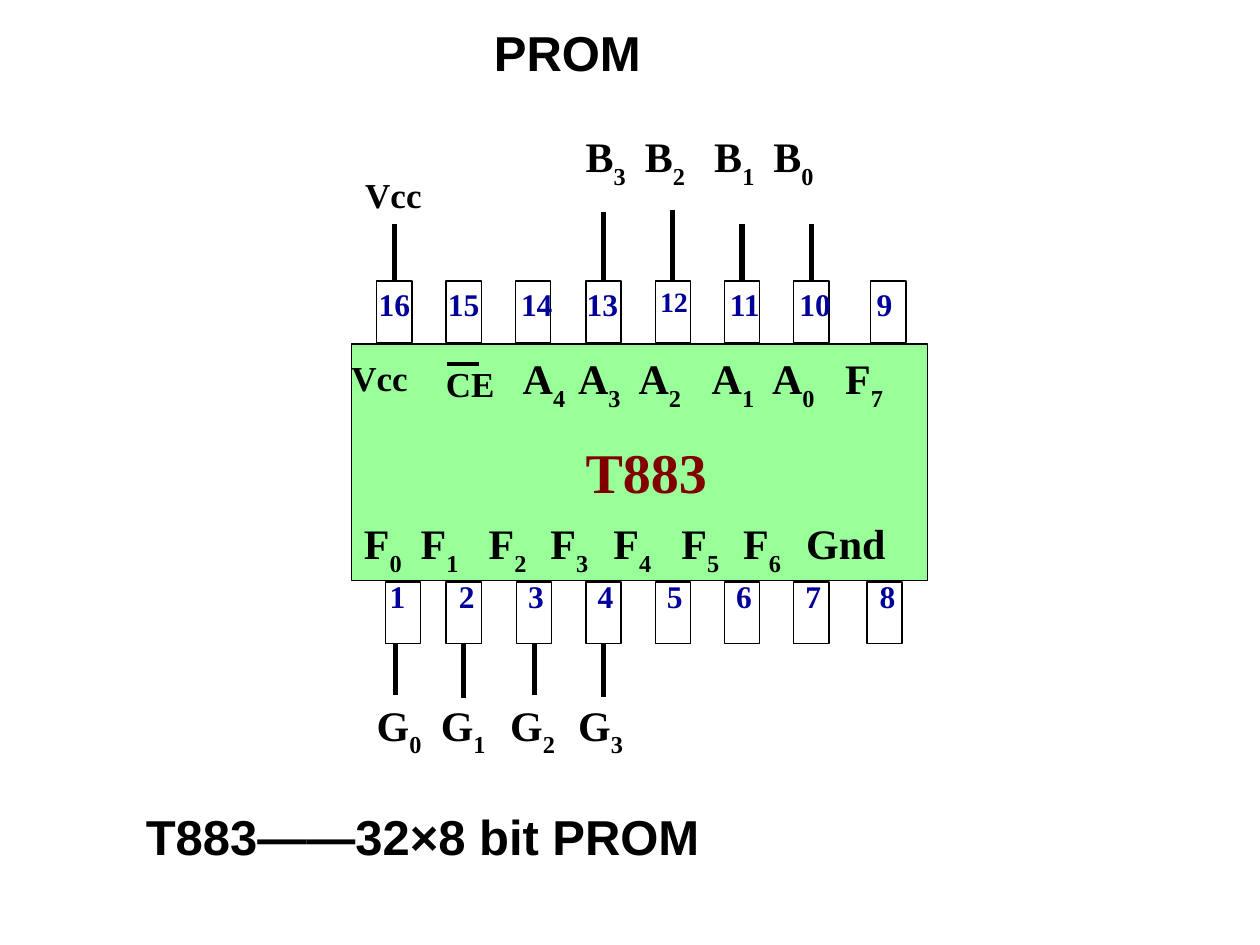
from lxml import etree
from pptx import Presentation
from pptx.dml.color import RGBColor
from pptx.enum.shapes import MSO_CONNECTOR, MSO_SHAPE
from pptx.enum.text import MSO_ANCHOR, PP_ALIGN
from pptx.oxml.ns import qn
from pptx.util import Inches, Pt

RECT = MSO_SHAPE.RECTANGLE
STRAIGHT = MSO_CONNECTOR.STRAIGHT
TOP = MSO_ANCHOR.TOP
LEFT, CENTER, JUSTIFY = PP_ALIGN.LEFT, PP_ALIGN.CENTER, PP_ALIGN.JUSTIFY
SIDE_TOP, SIDE_BOTTOM = 0, 2

COLORS = {
    "black": "000000",
    "pin": "FFFFFF",
    "chip": "99FF99",
    "number": "000099",
    "part": "800000",
}
SERIF, SANS = "Times New Roman", "Arial"
PIN_W, PIN_H = 0.28, 0.49
TOP_PIN_Y, BOTTOM_PIN_Y = 2.23, 4.62

# number, pin left, label left, label width
TOP_PINS = [
    (16, 2.99, 2.64, 0.98),
    (15, 3.54, 3.14, 1.08),
    (14, 4.09, 3.77, 0.98),
    (13, 4.65, 4.29, 0.98),
    (12, 5.2, 5.14, 0.54),
    (11, 5.75, 5.42, 0.98),
    (10, 6.3, 5.98, 0.98),
    (9, 6.91, 6.86, 0.73),
]
BOTTOM_PINS = [
    (number, x, round(2.79 + 0.55 * i, 2), 0.73)
    for i, (number, x) in enumerate(
        [(1, 3.06), (2, 3.54), (3, 4.1), (4, 4.65),
         (5, 5.2), (6, 5.75), (7, 6.3)])
] + [(8, 6.88, 6.68, 0.73)]
LEADS = {16: 1.78, 13: 1.68, 12: 1.67, 11: 1.78, 10: 1.78,
         2: 5.54, 3: 5.52, 4: 5.53}

# left, top, width, names, tab stops
SIGNAL_ROWS = [
    (4.05, 2.75, 4.08, "A4 A3 A2 A1 A0 F7", [0.44, 0.92, 1.5, 1.98, 2.56]),
    (2.79, 4.06, 4.83, "F0 F1 F2 F3 F4 F5 F6 Gnd",
     [0.45, 0.99, 1.48, 1.98, 2.52, 3.01, 3.51]),
    (4.55, 0.99, 2.75, "B3 B2 B1 B0", [0.47, 1.02, 1.49]),
    (2.89, 5.5, 2.75, "G0 G1 G2 G3", [0.51, 1.06, 1.6]),
]


def rgb(name):
    return RGBColor.from_string(COLORS[name])


def format_font(font, size, color="black", name=SERIF):
    values = {"size": Pt(size), "name": name, "bold": True}
    for key, value in values.items():
        setattr(font, key, value)
    font.color.rgb = rgb(color)


def fill_text(sp, text, size, color="black", name=SERIF, align=LEFT):
    tf = sp.text_frame
    tf.word_wrap = True
    tf.vertical_anchor = TOP
    p = tf.paragraphs[0]
    p.alignment = align
    r = p.add_run()
    r.text = text
    format_font(r.font, size, color, name)


def add_box(slide, x, y, w, h):
    return slide.shapes.add_textbox(
        Inches(x), Inches(y), Inches(w), Inches(h))


def add_label(slide, x, y, w, h, text, size, **style):
    fill_text(add_box(slide, x, y, w, h), text, size, **style)


def add_rect(slide, x, y, w, h, color):
    sp = slide.shapes.add_shape(
        RECT, Inches(x), Inches(y), Inches(w), Inches(h))
    sp.shadow.inherit = False
    sp.fill.solid()
    sp.fill.fore_color.rgb = rgb(color)
    sp.line.color.rgb = rgb("black")
    sp.line.width = Pt(0.75)
    return sp


def add_line(slide, x1, y1, x2, y2, width=3):
    line = slide.shapes.add_connector(
        STRAIGHT, Inches(x1), Inches(y1), Inches(x2), Inches(y2))
    line.line.color.rgb = rgb("black")
    line.line.width = Pt(width)
    etree.SubElement(line._element.spPr, qn("a:effectLst"))
    return line


def add_pins(slide, pins, pin_y, label_y, side):
    edge = pin_y if side == SIDE_TOP else pin_y + PIN_H
    for number, x, label_x, label_w in pins:
        pin = add_rect(slide, x, pin_y, PIN_W, PIN_H, "pin")
        add_label(slide, label_x, label_y, label_w, 0.68, str(number),
                  16 if number == 12 else 18, color="number",
                  align=LEFT if number in (9, 12) else CENTER)
        if number in LEADS:
            center = x + PIN_W / 2
            lead = add_line(slide, center, LEADS[number], center, edge)
            lead.end_connect(pin, side)


def add_signals(slide, x, y, w, names, stops):
    tf = add_box(slide, x, y, w, 0.5).text_frame
    tf.word_wrap = True
    p = tf.paragraphs[0]
    tabs = etree.SubElement(p._p.get_or_add_pPr(), qn("a:tabLst"))
    for stop in stops:
        etree.SubElement(tabs, qn("a:tab"), pos=str(Inches(stop)), algn="l")
    for i, name in enumerate(names.split()):
        letters = name.rstrip("0123456789")
        index = name[len(letters):]
        r = p.add_run()
        r.text = ("\t" if i else "") + letters
        format_font(r.font, 24)
        if index:
            r = p.add_run()
            r.text = index
            format_font(r.font, 24)
            r._r.get_or_add_rPr().set("baseline", "-30000")


def add_title(slide, text):
    title = slide.shapes.title
    place = {"left": 3.82, "top": 0.13, "width": 1.65, "height": 0.57}
    for key, value in place.items():
        setattr(title, key, Inches(value))
    fill_text(title, text, 28, name=SANS)


def main():
    prs = Presentation()
    prs.slide_width, prs.slide_height = Inches(10), Inches(7.5)
    slide = prs.slides.add_slide(prs.slide_layouts[5])
    add_title(slide, "PROM")
    add_pins(slide, TOP_PINS, TOP_PIN_Y, 2.21, SIDE_TOP)
    add_rect(slide, 2.79, 2.73, 4.57, 1.88, "chip")
    add_pins(slide, BOTTOM_PINS, BOTTOM_PIN_Y, 4.53, SIDE_BOTTOM)
    add_line(slide, 3.14, 5.11, 3.14, 5.52)
    add_label(slide, 4.55, 3.42, 1.76, 0.82, "T883", 32,
              color="part", align=JUSTIFY)
    for x, y, text in [(2.8, 1.33, "Vcc"), (2.69, 2.78, "Vcc"),
                       (3.44, 2.83, "CE")]:
        add_label(slide, x, y, 0.69, 0.63, text, 20)
    add_line(slide, 3.55, 2.89, 3.8, 2.89, 2.25)
    for row in SIGNAL_ROWS:
        add_signals(slide, *row)
    add_label(slide, 1.06, 6.35, 5.67, 0.82, "T883——32×8 bit PROM", 28,
              name=SANS, align=JUSTIFY)
    prs.save("out.pptx")


if __name__ == "__main__":
    main()
